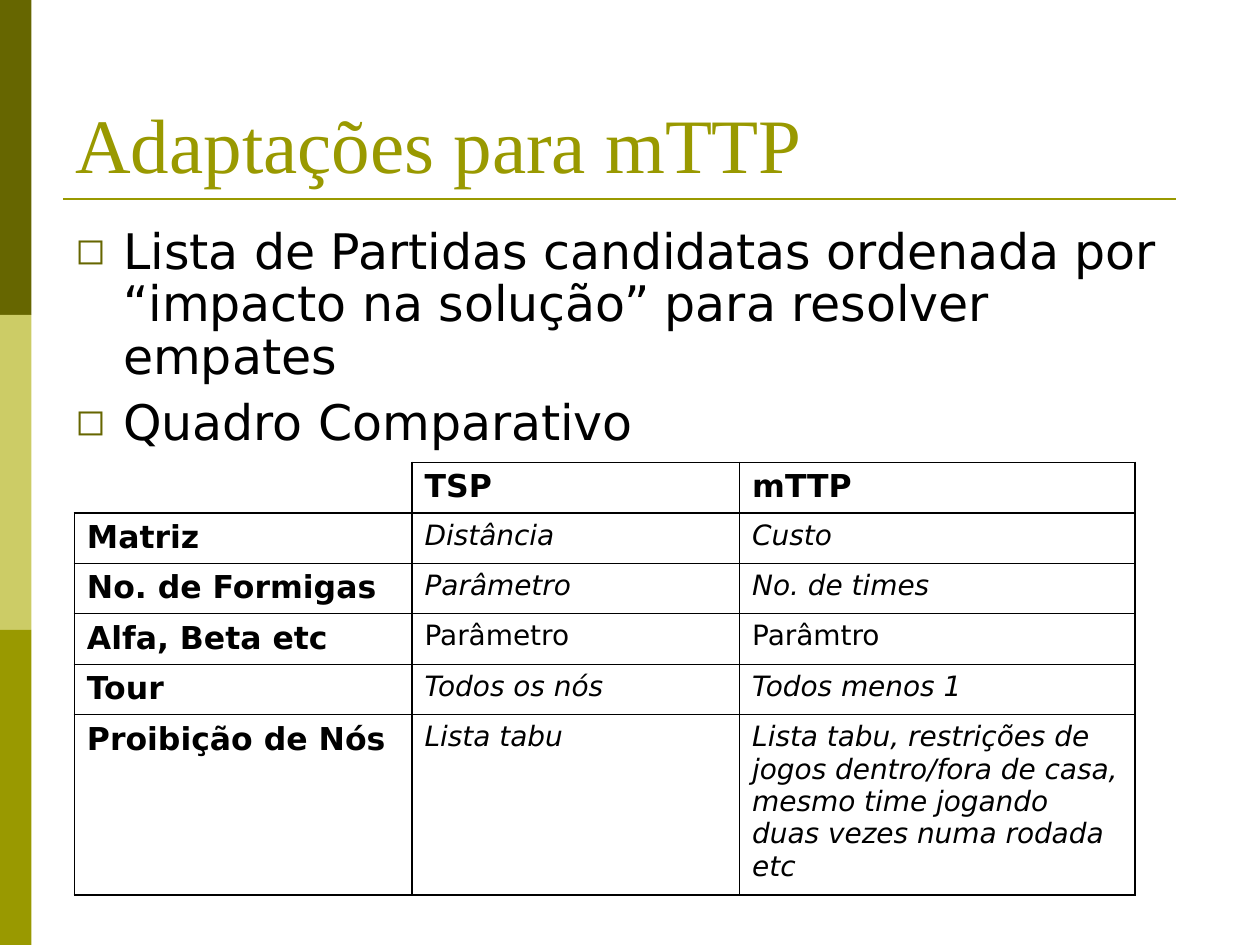
from lxml.etree import SubElement
from pptx import Presentation
from pptx.dml.color import RGBColor
from pptx.enum.shapes import MSO_CONNECTOR, MSO_SHAPE
from pptx.enum.text import MSO_ANCHOR
from pptx.oxml.ns import qn
from pptx.util import Inches, Pt

DARK = RGBColor(0x66, 0x66, 0x00)
LIGHT = RGBColor(0xCC, 0xCC, 0x66)
OLIVE = RGBColor(0x99, 0x99, 0x00)
BLACK = RGBColor(0, 0, 0)
SANS, SERIF = "DejaVu Sans", "Times New Roman"

# Content
TITLE = "Adaptações para mTTP"
POINTS = [
    "Lista de Partidas candidatas ordenada por “impacto na solução” para resolver empates",
    "Quadro Comparativo",
]
ROWS = [
    ("", "TSP", "mTTP"),
    ("Matriz", "Distância", "Custo"),
    ("No. de Formigas", "Parâmetro", "No. de times"),
    ("Alfa, Beta etc", "Parâmetro", "Parâmtro"),
    ("Tour", "Todos os nós", "Todos menos 1"),
    ("Proibição de Nós", "Lista tabu",
     "Lista tabu, restrições de jogos dentro/fora de casa, "
     "mesmo time jogando duas vezes numa rodada etc"),
]
PLAIN = 3  # the row whose values are upright
WIDTHS = [2.68, 2.6, 3.14]
HEIGHTS = [0.4] * 5 + [1.42]
THIN, THICK = 0.45, 1.08
COL_LINES = [THICK, THICK, THIN, THICK]
ROW_LINES = [THICK, THICK, THIN, THIN, THIN, THIN, THICK]


def add_run(para, text, size, color=BLACK, font=SANS, bold=False, italic=False):
    run = para.add_run()
    run.text = text
    run.font.size = Pt(size)
    run.font.name = font
    run.font.color.rgb = color
    run.font.bold = bold
    run.font.italic = italic


def add_frame(slide, *box):
    frame = slide.shapes.add_textbox(*map(Inches, box)).text_frame
    frame.word_wrap = True
    return frame


def add_bullet(para):
    props = para._p.get_or_add_pPr()
    props.set("marL", str(Inches(0.38)))
    props.set("indent", str(-Inches(0.38)))
    color = SubElement(props, qn("a:buClr"))
    SubElement(color, qn("a:srgbClr"), val=str(DARK))
    SubElement(props, qn("a:buSzPct"), val="75000")
    SubElement(props, qn("a:buFont"), typeface=SANS)
    SubElement(props, qn("a:buChar"), char="◻")


def add_border(cell, side, width):
    line = SubElement(cell._tc.get_or_add_tcPr(), qn("a:ln" + side))
    if width:
        line.set("w", str(Pt(width)))
        fill = SubElement(line, qn("a:solidFill"))
        SubElement(fill, qn("a:srgbClr"), val=str(BLACK))
    else:
        SubElement(line, qn("a:noFill"))


def fill_cell(cell, row, col, text):
    corner = row == col == 0
    add_border(cell, "L", 0 if corner else COL_LINES[col])
    add_border(cell, "R", COL_LINES[col + 1])
    add_border(cell, "T", 0 if corner else ROW_LINES[row])
    add_border(cell, "B", ROW_LINES[row + 1])
    cell.fill.background()
    if text:
        head = row == 0 or col == 0
        para = cell.text_frame.paragraphs[0]
        para.space_before = Pt(4.5 if head else 4)
        add_run(para, text, 18 if head else 16, bold=head,
                italic=not head and row != PLAIN)


def main():
    prs = Presentation()
    prs.slide_width, prs.slide_height = Inches(10), Inches(7.5)
    slide = prs.slides.add_slide(prs.slide_layouts[6])

    # Side band
    for i, color in enumerate([DARK, LIGHT, OLIVE]):
        band = slide.shapes.add_shape(MSO_SHAPE.RECTANGLE, 0, Inches(2.5 * i),
                                      Inches(0.25), Inches(2.5))
        band.shadow.inherit = False
        band.fill.solid()
        band.fill.fore_color.rgb = color
        band.line.fill.background()

    # Title and its rule
    rule = slide.shapes.add_connector(MSO_CONNECTOR.STRAIGHT, Inches(0.5),
                                      Inches(1.58), Inches(9.33), Inches(1.58))
    rule.line.color.rgb = OLIVE
    rule.line.width = Pt(1.5)
    SubElement(rule._element.spPr, qn("a:effectLst"))
    frame = add_frame(slide, 0.5, 0.3, 9, 1.25)
    frame.vertical_anchor = MSO_ANCHOR.BOTTOM
    add_run(frame.paragraphs[0], TITLE, 44, OLIVE, SERIF)

    # Bullet points
    frame = add_frame(slide, 0.5, 1.75, 8.83, 1.92)
    for i, text in enumerate(POINTS):
        para = frame.add_paragraph() if i else frame.paragraphs[0]
        para.line_spacing = 0.9
        para.space_before = Pt(7)
        add_bullet(para)
        add_run(para, text, 28)

    # Comparison table
    table = slide.shapes.add_table(
        len(ROWS), len(WIDTHS), Inches(0.59), Inches(3.67),
        Inches(sum(WIDTHS)), Inches(sum(HEIGHTS))).table
    table.first_row = table.horz_banding = False
    for col, width in zip(table.columns, WIDTHS):
        col.width = Inches(width)
    for row, height in zip(table.rows, HEIGHTS):
        row.height = Inches(height)
    for r, texts in enumerate(ROWS):
        for c, text in enumerate(texts):
            fill_cell(table.cell(r, c), r, c, text)

    prs.save("out.pptx")


if __name__ == "__main__":
    main()
